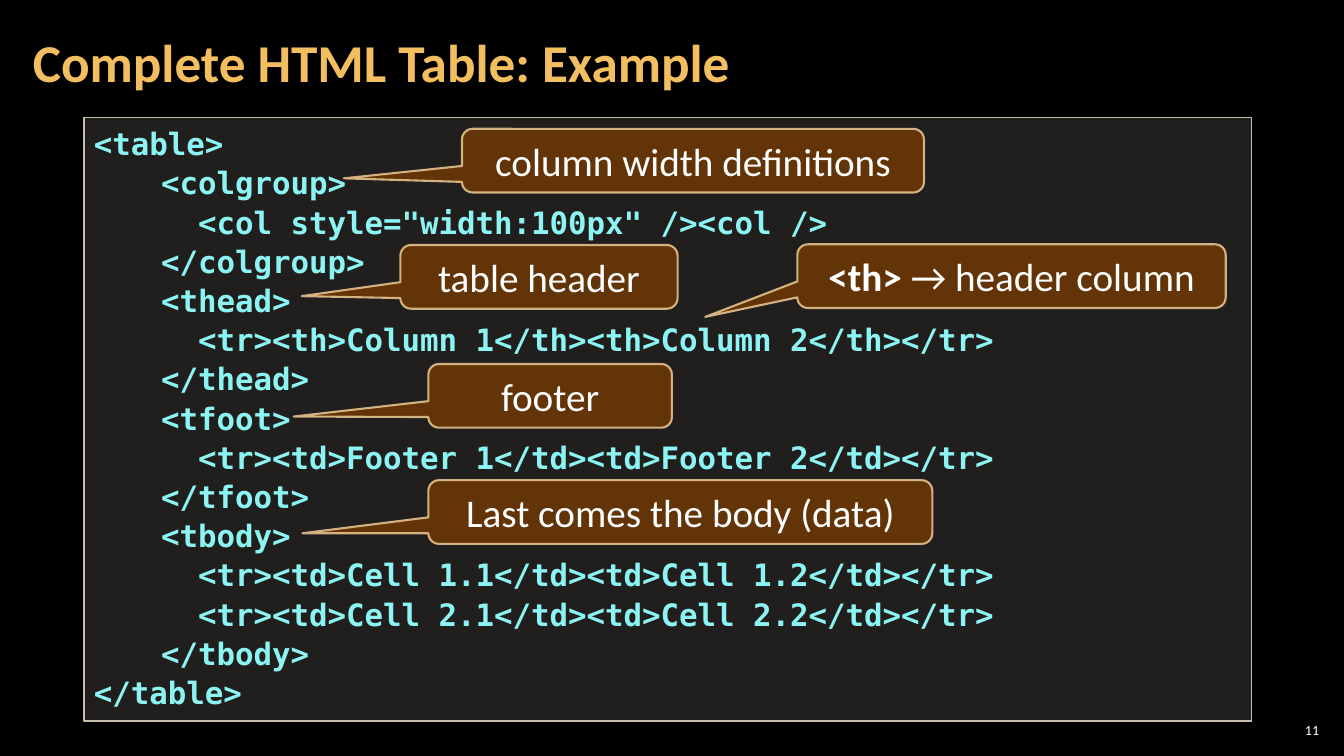
from dataclasses import dataclass

import lxml.etree
import pptx
import pptx.dml.color
import pptx.enum.shapes
import pptx.enum.text
import pptx.oxml.ns
import pptx.util

Pt = pptx.util.Pt
Shape = pptx.enum.shapes.MSO_SHAPE
Align = pptx.enum.text.PP_ALIGN
Anchor = pptx.enum.text.MSO_ANCHOR


@dataclass(frozen=True)
class Theme:
    back: str = "000000"
    title: str = "F3BE60"
    text: str = "FFFFFF"
    code: str = "8CF4F2"
    panel: str = "D9D5C7"
    frame: str = "C7BFAC"
    note: str = "663606"
    edge: str = "F8D49E"
    sans: str = "Calibri"
    mono: str = "DejaVu Sans Mono"
    title_size: float = 38
    note_size: float = 28
    code_size: float = 22
    page_size: float = 10


@dataclass(frozen=True)
class Box:
    left: float
    top: float
    width: float
    height: float

    def place(self) -> tuple:
        return Pt(self.left), Pt(self.top), Pt(self.width), Pt(self.height)


@dataclass(frozen=True)
class Note:
    left: float
    top: float
    width: float
    tip: tuple  # pointer offset from the centre, as shares of width and height
    text: str
    bold: str = ""


THEME = Theme()
NOTE_HEIGHT = 45.5
LINE_PITCH = 28
INDENT = 48

CODE = """\
<table>
<colgroup>
  <col style="width:100px" /><col />
</colgroup>
<thead>
  <tr><th>Column 1</th><th>Column 2</th></tr>
</thead>
<tfoot>
  <tr><td>Footer 1</td><td>Footer 2</td></tr>
</tfoot>
<tbody>
  <tr><td>Cell 1.1</td><td>Cell 1.2</td></tr>
  <tr><td>Cell 2.1</td><td>Cell 2.2</td></tr>
</tbody>
</table>""".split("\n")

NOTES = [
    Note(286, 175, 198, (-0.856, 0.303), "table header"),
    Note(306, 260, 174, (-1.053, 0.325), "footer"),
    Note(306, 343, 360, (-0.75, 0.334), "Last comes the body (data)"),
    Note(569.5, 174.5, 306, (-0.715, 0.64), "→ header column", "<th> "),
    Note(330, 92, 330, (-0.756, 0.278), "column width definitions"),
]


def tint(code: str) -> pptx.dml.color.RGBColor:
    return pptx.dml.color.RGBColor.from_string(code)


def fade(shape, query: str, share: int) -> None:
    """Set the opacity, in percent, of the colour that the query finds."""
    for node in shape._element.spPr.xpath(query):
        alpha = lxml.etree.SubElement(node, pptx.oxml.ns.qn("a:alpha"))
        alpha.set("val", str(share * 1000))


def add_run(para, text: str, face: str, size: float, shade: str,
            bold: bool = False) -> None:
    run = para.add_run()
    run.text = text
    run.font.name = face
    run.font.size = Pt(size)
    run.font.bold = bold
    run.font.color.rgb = tint(shade)


def add_panel(slide, kind, box: Box, fill: str, solid: int, line: str,
              weight: float):
    shape = slide.shapes.add_shape(kind, *box.place())
    shape.shadow.inherit = False
    shape.fill.solid()
    shape.fill.fore_color.rgb = tint(fill)
    fade(shape, "a:solidFill/a:srgbClr", solid)
    shape.line.color.rgb = tint(line)
    shape.line.width = Pt(weight)
    shape.text_frame.word_wrap = True
    return shape


def add_label(slide, box: Box, text: str, size: float, shade: str, align,
              side: float, bold: bool = False):
    frame = slide.shapes.add_textbox(*box.place()).text_frame
    frame.word_wrap = True
    frame.vertical_anchor = Anchor.MIDDLE
    frame.margin_left = frame.margin_right = Pt(side)
    frame.margin_top = frame.margin_bottom = Pt(2.8)
    para = frame.paragraphs[0]
    para.alignment = align
    add_run(para, text, THEME.sans, size, shade, bold)
    return para


def add_code(slide, box: Box) -> None:
    shape = add_panel(slide, Shape.RECTANGLE, box, THEME.panel, 15,
                      THEME.frame, 1)
    frame = shape.text_frame
    frame.vertical_anchor = Anchor.TOP
    for row, text in enumerate(CODE):
        para = frame.add_paragraph() if row else frame.paragraphs[0]
        para.alignment = Align.LEFT
        para.line_spacing = Pt(LINE_PITCH)
        # All but the outer table tags are one level in
        if 0 < row < len(CODE) - 1:
            para.level = 1
            props = para._p.get_or_add_pPr()
            props.set("marL", str(Pt(INDENT)))
            props.set("indent", "0")
        add_run(para, text, THEME.mono, THEME.code_size, THEME.code, True)


def add_note(slide, note: Note) -> None:
    box = Box(note.left, note.top, note.width, NOTE_HEIGHT)
    shape = add_panel(slide, Shape.ROUNDED_RECTANGULAR_CALLOUT, box,
                      THEME.note, 95, THEME.edge, 1.5)
    fade(shape, "a:ln/a:solidFill/a:srgbClr", 80)
    shape.adjustments[0], shape.adjustments[1] = note.tip
    frame = shape.text_frame
    frame.vertical_anchor = Anchor.MIDDLE
    para = frame.paragraphs[0]
    para.alignment = Align.CENTER
    for text, bold in ((note.bold, True), (note.text, False)):
        if text:
            add_run(para, text, THEME.sans, THEME.note_size, THEME.text, bold)


def main() -> None:
    deck = pptx.Presentation()
    deck.slide_width, deck.slide_height = Pt(960), Pt(540)
    slide = deck.slides.add_slide(deck.slide_layouts[6])
    slide.background.fill.solid()
    slide.background.fill.fore_color.rgb = tint(THEME.back)

    # Page number and title
    add_label(slide, Box(911, 514, 34, 15), "11", THEME.page_size,
              THEME.text, Align.RIGHT, 2.8)
    title = add_label(slide, Box(15, 3, 754, 87),
                      "Complete HTML Table: Example", THEME.title_size,
                      THEME.title, Align.LEFT, 8.5, True)
    title.line_spacing = 0.9

    # Code listing
    add_code(slide, Box(60, 84, 834, 431))

    # Callouts over the code
    for note in NOTES:
        add_note(slide, note)

    deck.save("out.pptx")


if __name__ == "__main__":
    main()
